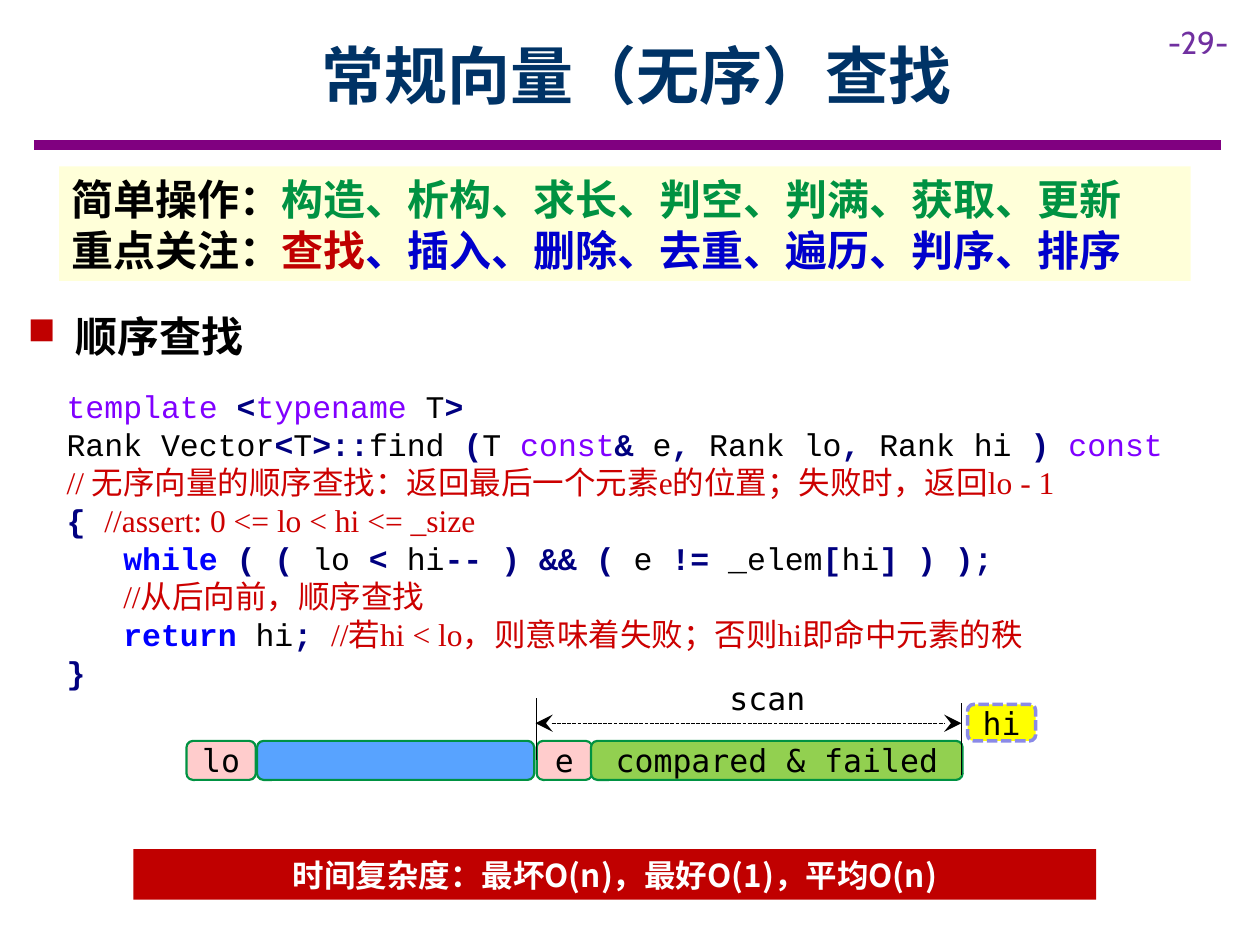
from dataclasses import dataclass
from typing import NamedTuple, Optional

from lxml import etree
from pptx import Presentation
from pptx.dml.color import RGBColor
from pptx.enum.dml import MSO_LINE
from pptx.enum.shapes import MSO_CONNECTOR, MSO_SHAPE
from pptx.enum.text import MSO_ANCHOR, PP_ALIGN
from pptx.oxml.ns import qn
from pptx.util import Inches, Pt

LINE = MSO_CONNECTOR.STRAIGHT
RECT, ROUND = MSO_SHAPE.RECTANGLE, MSO_SHAPE.ROUNDED_RECTANGLE
LEFT, MID = PP_ALIGN.LEFT, PP_ALIGN.CENTER
DASH = MSO_LINE.SQUARE_DOT


@dataclass(frozen=True)
class Theme:
    black: str = "000000"
    white: str = "FFFFFF"
    navy: str = "003366"
    plum: str = "800080"
    page: str = "7030A0"
    green: str = "009242"
    red: str = "C00000"
    blue: str = "0000CC"
    cream: str = "FFFF99"
    pink: str = "FFCCCC"
    sky: str = "58A3FF"
    lime: str = "92D050"
    yellow: str = "FFFF00"
    lilac: str = "8A8AE7"
    head: int = 36
    lead: int = 24
    body: int = 18
    sans: str = "Noto Sans CJK SC"
    mono: str = "DejaVu Sans Mono"
    code: str = "Courier New"
    serif: str = "Times New Roman"
    num: str = "Cabin"


T = Theme()


class Style(NamedTuple):
    color: str
    bold: bool = False
    face: Optional[str] = None


class Run(NamedTuple):
    text: str
    style: Style


class Row(NamedTuple):
    runs: list[Run]
    indent: float = 0


class Cell(NamedTuple):
    text: str
    left: float
    top: float
    width: float
    height: float
    fill: str
    edge: str = T.green
    weight: float = 1.25
    dash: bool = False


PLAIN, NOTE = Style(T.black), Style("CC0000", False, T.serif)
TYPE, SIGN, WORD = Style("8000FF"), Style("000080", True), Style("0000FF", True)
BOLD = Style(T.black, True)


def rgb(code: str) -> RGBColor:
    return RGBColor.from_string(code)


def add(node, tag: str, **attrs: str):
    return etree.SubElement(node, qn(tag), attrs)


def write(shape, rows: list[Row], face: str, size: int,
          align=LEFT, pitch: Optional[float] = None) -> None:
    frame = shape.text_frame
    frame.word_wrap = True
    for i, row in enumerate(rows):
        para = frame.paragraphs[0] if i == 0 else frame.add_paragraph()
        para.alignment = align
        if pitch:
            para.line_spacing = Pt(pitch)
        para.font.name, para.font.size = face, Pt(size)
        props = para._p.get_or_add_pPr()
        add(props.find(qn("a:defRPr")), "a:ea", typeface=T.sans)
        if row.indent:
            props.set("marL", str(Inches(row.indent)))
        for text, style in row.runs:
            run = para.add_run()
            run.text = text
            run.font.color.rgb = rgb(style.color)
            run.font.bold = style.bold
            if style.face:
                run.font.name = style.face
                add(run._r.get_or_add_rPr(), "a:ea", typeface=T.sans)


def place(slide, left: float, top: float, width: float, height: float):
    return slide.shapes.add_textbox(
        Inches(left), Inches(top), Inches(width), Inches(height))


def block(slide, kind, left: float, top: float, width: float, height: float,
          fill: str):
    shape = slide.shapes.add_shape(
        kind, Inches(left), Inches(top), Inches(width), Inches(height))
    shape.shadow.inherit = False
    shape.fill.solid()
    shape.fill.fore_color.rgb = rgb(fill)
    shape.line.fill.background()
    return shape


def draw(slide, cell: Cell) -> None:
    shape = block(slide, ROUND, *cell[1:6])
    shape.line.color.rgb = rgb(cell.edge)
    shape.line.width = Pt(cell.weight)
    if cell.dash:
        shape.line.dash_style = DASH
    if cell.text:
        frame = shape.text_frame
        frame.vertical_anchor = MSO_ANCHOR.MIDDLE
        frame.margin_top = frame.margin_bottom = 0
        write(shape, [Row([Run(cell.text, PLAIN)])], T.mono, T.body, MID)


def rule(slide, x1: float, y1: float, x2: float, y2: float,
         color: str = T.black, weight: float = 0.75):
    line = slide.shapes.add_connector(
        LINE, Inches(x1), Inches(y1), Inches(x2), Inches(y2))
    line.line.color.rgb = rgb(color)
    line.line.width = Pt(weight)
    add(line._element.spPr, "a:effectLst")
    return line


def main() -> None:
    deck = Presentation()
    deck.slide_width, deck.slide_height = Inches(10), Inches(7.5)
    slide = deck.slides.add_slide(deck.slide_layouts[6])

    # Header
    rule(slide, 0.27, 1.15, 9.69, 1.15, T.plum, 6)
    write(place(slide, 9.17, 0.13, 0.83, 0.4),
          [Row([Run("-29-", Style(T.page))])], T.num, T.body)
    title = place(slide, 0.9, 0.09, 8.31, 1)
    title.text_frame.vertical_anchor = MSO_ANCHOR.MIDDLE
    write(title, [Row([Run("常规向量（无序）查找", Style(T.navy, True))])],
          T.sans, T.head, MID)

    # Vector cells
    top, tall = 5.88, 0.31
    for cell in (
        Cell("", 2.04, top, 2.2, tall, T.sky),
        Cell("e", 4.26, top, 0.44, tall, T.pink),
        Cell("compared & failed", 4.69, top, 2.95, tall, T.lime),
        Cell("hi", 7.68, 5.59, 0.54, 0.29, T.yellow, T.lilac, 2, True),
        Cell("lo", 1.48, top, 0.55, tall, T.pink),
    ):
        draw(slide, cell)

    # Scan range
    rule(slide, 4.26, 6.03, 4.26, 5.54)
    rule(slide, 7.63, 6.15, 7.63, 5.58)
    scan = rule(slide, 4.25, 5.74, 7.63, 5.74)
    scan.line.dash_style = DASH
    for end in ("a:headEnd", "a:tailEnd"):
        add(scan.line._get_or_add_ln(), end, type="stealth", w="lg", len="lg")
    write(place(slide, 5.43, 5.34, 1.32, 0.4),
          [Row([Run("scan", PLAIN)])], T.mono, T.body, MID)

    # Code
    rows = [
        Row([Run("template ", TYPE), Run("<", SIGN), Run("typename", TYPE),
             Run(" T", PLAIN), Run(">", SIGN)]),
        Row([Run("Rank Vector", PLAIN), Run("<", SIGN), Run("T", PLAIN),
             Run(">::", SIGN), Run("find ", PLAIN), Run("(", SIGN),
             Run("T ", PLAIN), Run("const", TYPE), Run("&", SIGN),
             Run(" e", PLAIN), Run(",", SIGN), Run(" Rank lo", PLAIN),
             Run(",", SIGN), Run(" Rank hi ", PLAIN), Run(") ", SIGN),
             Run("const", TYPE)]),
        Row([Run("// 无序向量的顺序查找：返回最后一个元素e的位置；失败时，返回lo - 1", NOTE)]),
        Row([Run("{ ", SIGN), Run("//assert: 0 <= lo < hi <= _size", NOTE)]),
        Row([Run("while ", WORD), Run("( (", SIGN), Run(" lo ", PLAIN),
             Run("<", SIGN), Run(" hi", PLAIN), Run("-- ) && (", SIGN),
             Run(" e ", PLAIN), Run("!=", SIGN), Run(" _elem", PLAIN),
             Run("[", SIGN), Run("hi", PLAIN), Run("] ) );", SIGN)], 0.45),
        Row([Run("//从后向前，顺序查找", NOTE)], 0.45),
        Row([Run("return", WORD), Run(" hi", PLAIN), Run("; ", SIGN),
             Run("//若hi < lo，则意味着失败；否则hi即命中元素的秩", NOTE)], 0.45),
        Row([Run("}", SIGN)]),
    ]
    write(place(slide, 0.43, 3.02, 9.21, 2.52), rows, T.code, T.body,
          pitch=21.7)

    # Operations panel
    panel = block(slide, RECT, 0.47, 1.32, 8.98, 0.91, T.cream)
    tint = panel._element.spPr.find(qn("a:solidFill"))[0]
    add(tint, "a:alpha", val="37000")
    write(panel, [
        Row([Run("简单操作：", BOLD),
             Run("构造、析构、求长、判空、判满、获取、更新", Style(T.green, True))]),
        Row([Run("重点关注：", BOLD), Run("查找", Style(T.red, True)),
             Run("、插入、删除、去重、遍历、判序、排序", Style(T.blue, True))]),
    ], T.sans, T.lead, pitch=29)

    # Complexity bar
    bar = block(slide, RECT, 1.06, 6.74, 7.64, 0.4, T.red)
    write(bar, [Row([Run("时间复杂度：最坏O(n)，最好O(1)，平均O(n)",
                         Style(T.white, True))])],
          T.sans, T.body, MID, 22)

    # Bulleted heading
    topic = place(slide, 0.12, 2.4, 2.28, 0.44)
    write(topic, [Row([Run("顺序查找", BOLD)], 0.38)], T.sans, T.lead, pitch=30)
    props = topic.text_frame.paragraphs[0]._p.pPr
    props.set("indent", str(-Inches(0.38)))
    tint = add(props, "a:buClr")
    add(tint, "a:srgbClr", val=T.red)
    add(props, "a:buSzPct", val="90000")
    add(props, "a:buChar", char="■")
    props.append(props.find(qn("a:defRPr")))

    deck.save("out.pptx")


if __name__ == "__main__":
    main()
